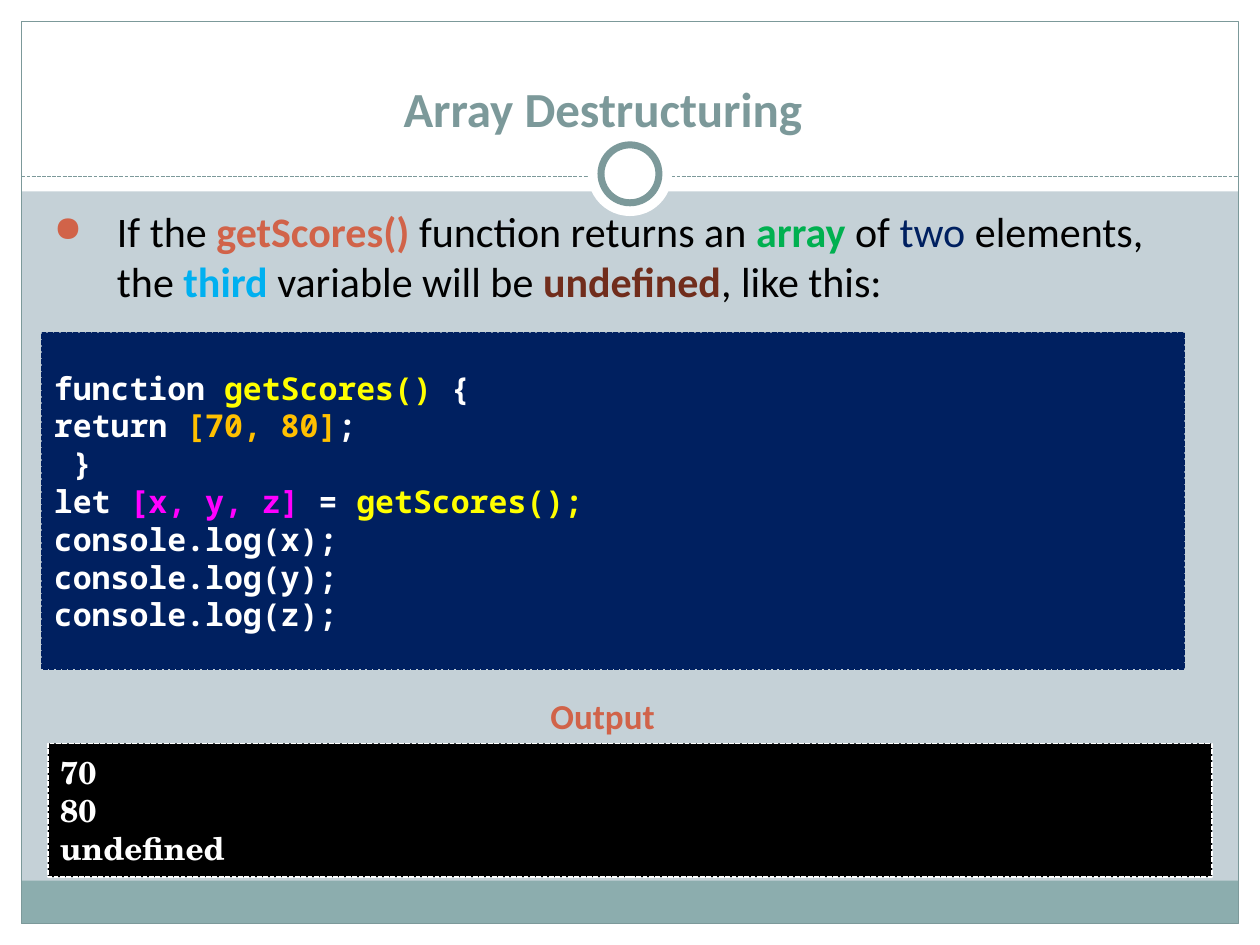
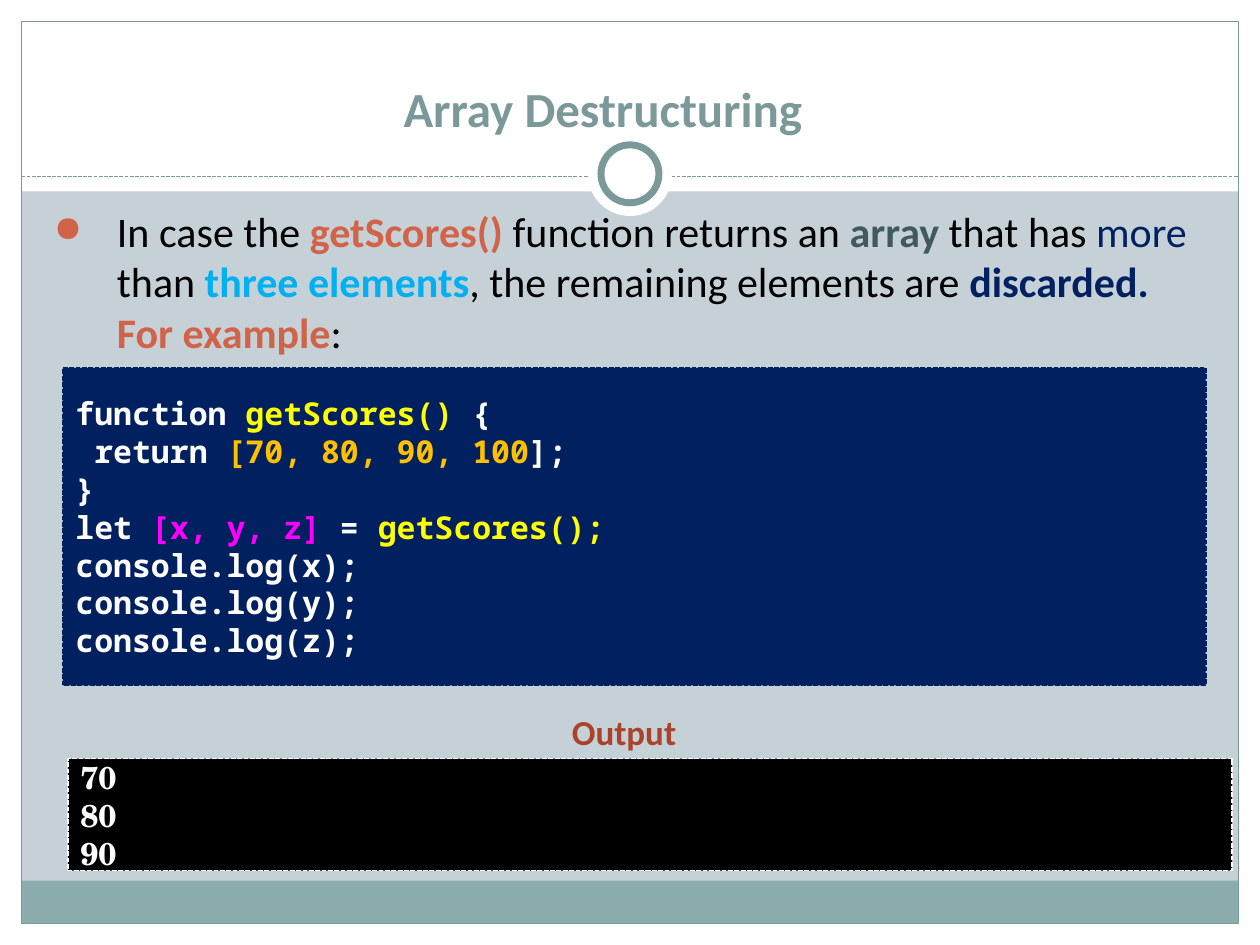
from lxml.etree import SubElement
from pptx import Presentation
from pptx.dml.color import RGBColor
from pptx.enum.dml import MSO_LINE
from pptx.enum.shapes import MSO_CONNECTOR, MSO_SHAPE as Shape
from pptx.enum.text import MSO_ANCHOR as Anchor, MSO_AUTO_SIZE as AutoSize, PP_ALIGN as Align
from pptx.oxml.ns import qn
from pptx.util import Inches, Pt

WHITE = RGBColor(0xFF, 0xFF, 0xFF)
BLACK = RGBColor(0, 0, 0)
MIST = RGBColor(0xC5, 0xD1, 0xD7)
SEA = RGBColor(0x8C, 0xAD, 0xAE)
SLATE = RGBColor(0x7C, 0x99, 0x9A)
DEEP_SLATE = RGBColor(0x41, 0x5B, 0x5C)
CORAL = RGBColor(0xD1, 0x63, 0x49)
RUST = RGBColor(0xA9, 0x43, 0x2B)
BROWN = RGBColor(0x71, 0x2D, 0x1C)
NAVY = RGBColor(0, 0x20, 0x60)
GREEN = RGBColor(0, 0xB0, 0x50)
SKY = RGBColor(0, 0xB0, 0xF0)
YELLOW = RGBColor(0xFF, 0xFF, 0)
AMBER = RGBColor(0xFF, 0xC0, 0)
MAGENTA = RGBColor(0xFF, 0, 0xFF)

SANS, MONO, SERIF = "Calibri", "Noto Sans Mono", "TeX Gyre Schola"
WIDTH, HEIGHT, MARGIN = 10, 7.5, 0.17
TITLE = "Array Destructuring"

LOGS = [[(f"console.log({name});", WHITE)] for name in "xyz"]
CODE_HEAD = [("function ", WHITE), ("getScores()", YELLOW), (" {", WHITE)]
CODE_CALL = [("let ", WHITE), ("[x, y, z]", MAGENTA), (" = ", WHITE), ("getScores();", YELLOW)]

EXAMPLES = [
    {
        "lead": [
            ("If the ", BLACK, False), ("getScores() ", CORAL, True),
            ("function returns an ", BLACK, False), ("array", GREEN, True),
            (" of ", BLACK, False), ("two ", NAVY, False),
            ("elements, the ", BLACK, False), ("third ", SKY, True),
            ("variable will be ", BLACK, False), ("undefined", BROWN, True),
            (", like this:", BLACK, False),
        ],
        "code": [
            CODE_HEAD,
            [("return ", WHITE), ("[70, 80]", AMBER), (";", WHITE)],
            [(" }", WHITE)],
            CODE_CALL, *LOGS,
        ],
        "output": ["70", "80", "undefined"],
        "code_at": (0.33, 2.64, 9.07, 2.67),
        "label_at": (4.27, 5.46, 1.08, 0.44),
        "output_at": (0.38, 5.9, 9.24, 1.06),
        "label_color": CORAL,
    },
    {
        "lead": [
            ("In case the ", BLACK, False), ("getScores() ", CORAL, True),
            ("function returns an ", BLACK, False), ("array", DEEP_SLATE, True),
            (" that has ", BLACK, False), ("more", NAVY, False),
            (" than ", BLACK, False), ("three elements", SKY, True),
            (", the remaining elements are ", BLACK, False),
            ("discarded. ", NAVY, True), ("For example", CORAL, True),
            (":", BLACK, False),
        ],
        "code": [
            CODE_HEAD,
            [(" return ", WHITE), ("[70, 80, 90, 100", AMBER), ("];", WHITE)],
            [("}", WHITE)],
            CODE_CALL, *LOGS,
        ],
        "output": ["70", "80", "90"],
        "code_at": (0.5, 2.92, 9.07, 2.52),
        "label_at": (4.44, 5.59, 1.12, 0.44),
        "output_at": (0.54, 6.02, 9.24, 0.89),
        "label_color": RUST,
    },
]


def inches(lengths):
    """Turn plain numbers into lengths."""
    return [Inches(length) for length in lengths]


def add_panel(page, kind, at, fill=None, line=None, weight=0.75, dash=None):
    """Add a flat shape with an optional fill and outline."""
    panel = page.shapes.add_shape(kind, *inches(at))
    panel.shadow.inherit = False
    if fill is None:
        panel.fill.background()
    else:
        panel.fill.solid()
        panel.fill.fore_color.rgb = fill
    if line is None:
        panel.line.fill.background()
    else:
        panel.line.color.rgb = line
        panel.line.width = Pt(weight)
        panel.line.dash_style = dash
    return panel


def add_span(para, text, font, size, color, bold=True):
    """Append one formatted run."""
    span = para.add_run()
    span.text = text
    span.font.name, span.font.size, span.font.bold = font, Pt(size), bold
    span.font.color.rgb = color


def add_frame(page, layout):
    """Draw the shared bands, frame and ring, and move them to the layout."""
    existing = list(page.shapes.element)
    inner_width = WIDTH - 2 * MARGIN
    for at, fill in [
        ((0, HEIGHT - MARGIN, WIDTH, MARGIN), WHITE),
        ((0, 0, WIDTH, 1.52), WHITE),
        ((0, 0, MARGIN, HEIGHT), WHITE),
        ((WIDTH - MARGIN, 0, MARGIN, HEIGHT), WHITE),
        ((MARGIN, 6.99, inner_width, 0.34), SEA),
    ]:
        add_panel(page, Shape.RECTANGLE, at, fill)
    add_panel(page, Shape.RECTANGLE,
              (MARGIN, MARGIN, inner_width, HEIGHT - 2 * MARGIN), line=SLATE)
    rule = page.shapes.add_connector(
        MSO_CONNECTOR.STRAIGHT, *inches((MARGIN, 1.4, WIDTH - MARGIN, 1.4)))
    rule.line.color.rgb = SLATE
    rule.line.width = Pt(0.75)
    rule.line.dash_style = MSO_LINE.SQUARE_DOT
    SubElement(rule.element.spPr, qn("a:effectLst"))
    for size, line in [(0.67, None), (0.46, SLATE)]:
        at = (WIDTH / 2 - size / 2, 1.38 - size / 2, size, size)
        add_panel(page, Shape.OVAL, at, WHITE, line, weight=4)
    for element in list(page.shapes.element):
        if element not in existing:
            layout.shapes.element.append(element)


def set_title(page):
    """Place and format the title."""
    title = page.shapes.title
    title.left, title.top, title.width, title.height = inches((0.12, 0.31, 9.33, 0.83))
    frame = title.text_frame
    frame.auto_size = AutoSize.NONE
    frame.vertical_anchor = Anchor.BOTTOM
    para = frame.paragraphs[0]
    para.alignment = Align.CENTER
    add_span(para, TITLE, SANS, 28, SLATE)


def add_lead(page, spans):
    """Add the bulleted statement."""
    box = page.shapes.add_textbox(*inches((0.33, 1.58, 9.3, 5.31)))
    box.text_frame.word_wrap = True
    para = box.text_frame.paragraphs[0]
    properties = para._p.get_or_add_pPr()
    properties.set("marL", str(Inches(0.5)))
    properties.set("indent", str(Inches(-0.5)))
    color = SubElement(properties, qn("a:buClr"))
    SubElement(color, qn("a:srgbClr"), val=str(CORAL))
    SubElement(properties, qn("a:buSzPct"), val="85000")
    SubElement(properties, qn("a:buChar"), char="●")
    for text, tint, bold in spans:
        add_span(para, text, SANS, 24, tint, bold)


def add_listing(page, at, lines, font, fill, line):
    """Add a dashed panel holding one paragraph per line."""
    panel = add_panel(page, Shape.RECTANGLE, at, fill, line, 0.9, MSO_LINE.SQUARE_DOT)
    frame = panel.text_frame
    frame.word_wrap = True
    frame.vertical_anchor = Anchor.MIDDLE
    for index, spans in enumerate(lines):
        para = frame.add_paragraph() if index else frame.paragraphs[0]
        para.alignment = Align.LEFT
        for text, color in spans:
            add_span(para, text, font, 18, color)


def add_label(page, at, color):
    """Add the heading above the output panel."""
    frame = page.shapes.add_textbox(*inches(at)).text_frame
    frame.word_wrap = False
    frame.auto_size = AutoSize.SHAPE_TO_FIT_TEXT
    add_span(frame.paragraphs[0], "Output", SANS, 20, color)


def main():
    """Build the deck."""
    deck = Presentation()
    deck.slide_width, deck.slide_height = inches((WIDTH, HEIGHT))
    layout = deck.slide_layouts[5]
    layout.background.fill.solid()
    layout.background.fill.fore_color.rgb = MIST
    for index, example in enumerate(EXAMPLES):
        page = deck.slides.add_slide(layout)
        if index == 0:
            add_frame(page, layout)
        set_title(page)
        add_lead(page, example["lead"])
        add_listing(page, example["code_at"], example["code"], MONO, NAVY, NAVY)
        output = [[(text, WHITE)] for text in example["output"]]
        add_listing(page, example["output_at"], output, SERIF, BLACK, WHITE)
        add_label(page, example["label_at"], example["label_color"])
    deck.save("out.pptx")


if __name__ == "__main__":
    main()
